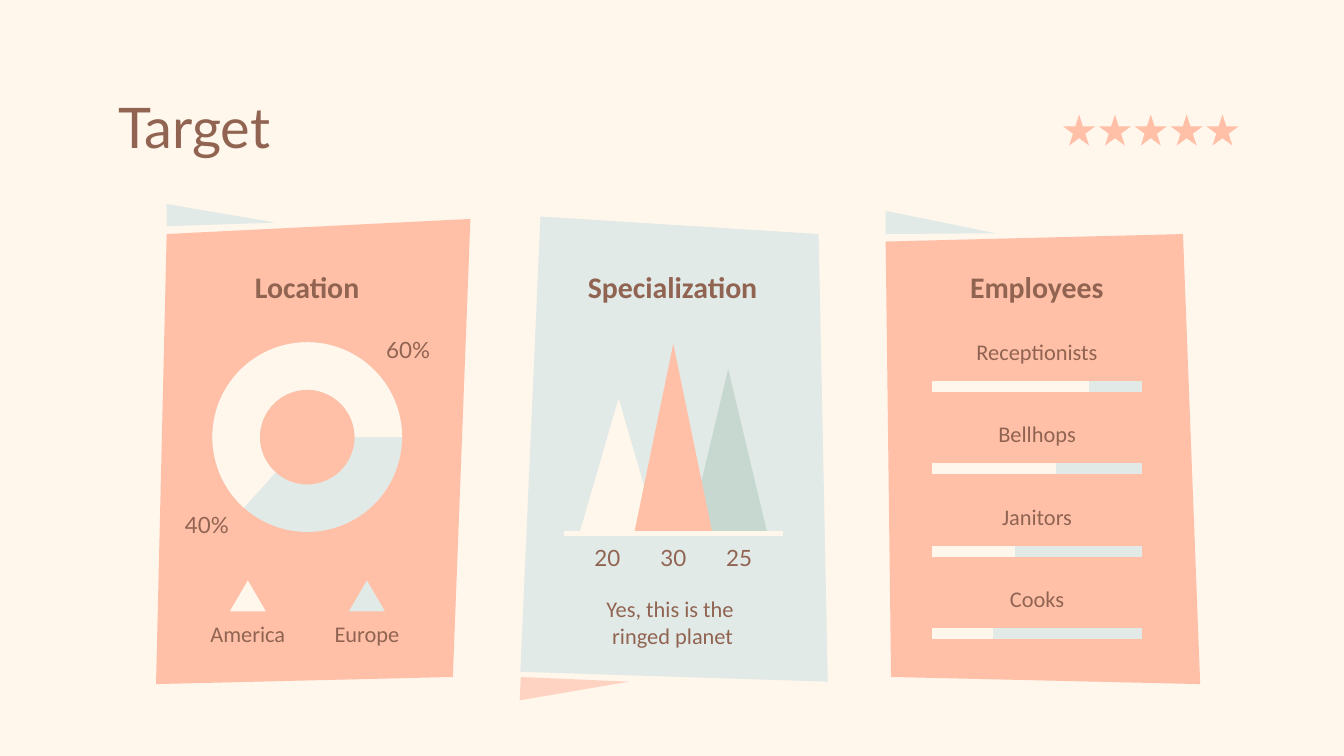
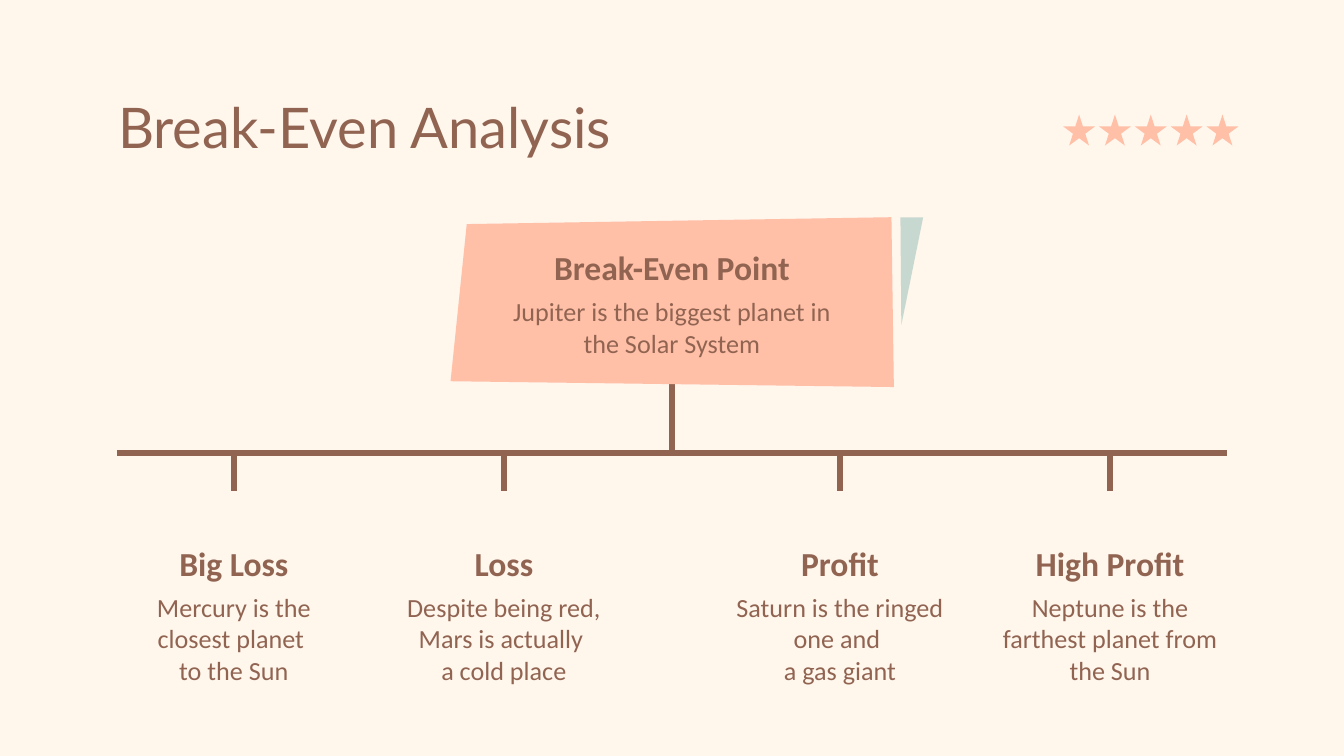
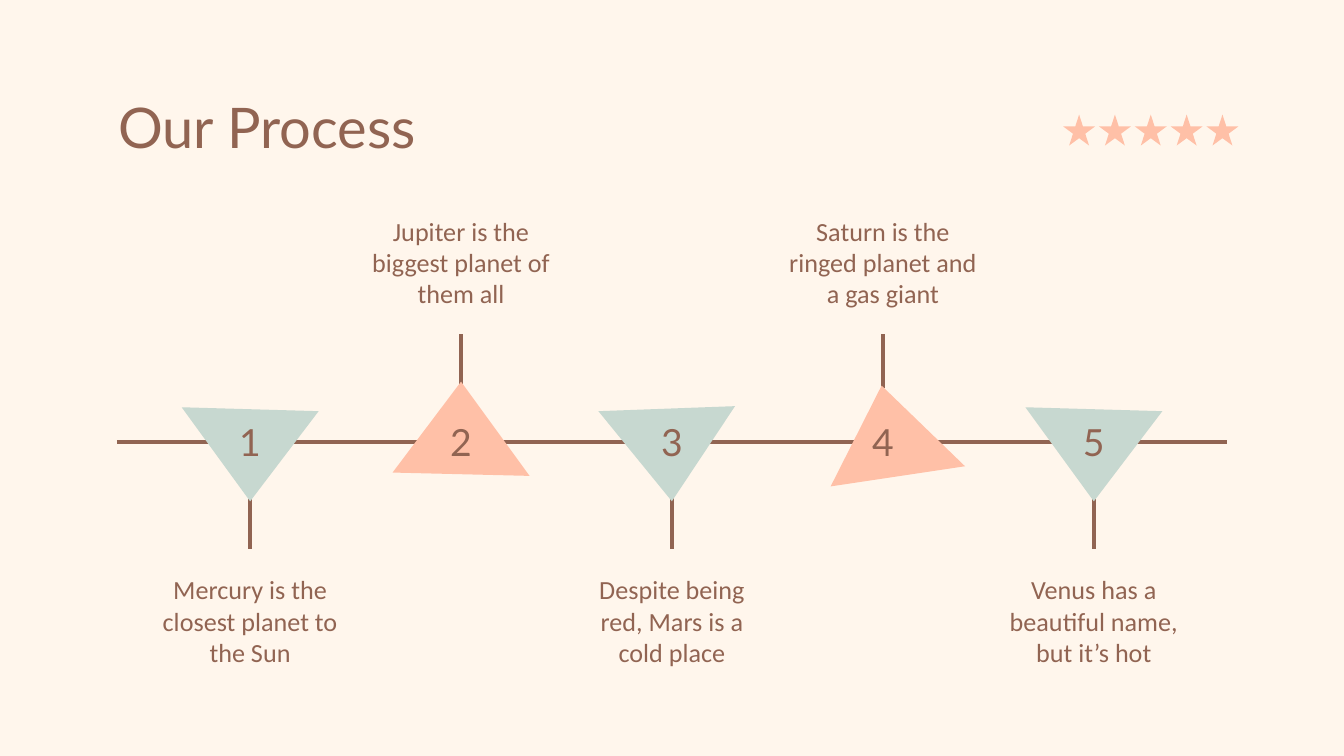
"""Build three hotel slides: target, break-even analysis and process."""
from typing import NamedTuple

import lxml.etree
import pptx
import pptx.dml.color
import pptx.enum.shapes
import pptx.enum.text
import pptx.oxml.ns
import pptx.presentation
import pptx.shapes.autoshape
import pptx.slide
import pptx.util

Pt = pptx.util.Pt
Kind = pptx.enum.shapes.MSO_SHAPE
Align = pptx.enum.text.PP_ALIGN
Anchor = pptx.enum.text.MSO_ANCHOR
Slide = pptx.slide.Slide
Shape = pptx.shapes.autoshape.Shape
Point = tuple[float, float]

HUES = {
    "cream": "FFF6EC",
    "peach": "FFC0A7",
    "blush": "FED3C2",
    "mist": "E1EAE7",
    "sage": "C7D8D0",
    "brown": "916452",
}


class Box(NamedTuple):
    x: float
    y: float
    w: float
    h: float


class Card(NamedTuple):
    head: str
    left: float
    hue: str
    panel: list[Point]
    flag_hue: str
    flag: list[Point]


class Staff(NamedTuple):
    name: str
    share: float


class Key(NamedTuple):
    name: str
    mid: float
    hue: str


class Peak(NamedTuple):
    left: float
    high: float
    hue: str


class Case(NamedTuple):
    mid: float
    head: str
    body: str


class Step(NamedTuple):
    body: str
    up: bool
    hue: str
    points: list[Point]


CARDS = [
    Card("Employees", 476.6, "peach",
         [(474.5, 129.4), (633.8, 125.4), (643, 366.5), (477.4, 362.7)],
         "mist", [(474.5, 125.4), (474.5, 113), (533.4, 125)]),
    Card("Specialization", 281.5, "mist",
         [(289.6, 116), (438.6, 125.4), (443.5, 365.2), (278.8, 359.9)],
         "blush", [(278.4, 375.2), (279, 362.7), (337, 365.2)]),
    Card("Location", 85.7, "peach",
         [(89.3, 125.4), (252, 117.3), (242.6, 362.7), (83.6, 366.5)],
         "mist", [(89.3, 121.2), (89.3, 109.3), (147.4, 119.3)]),
]
STAFF = [Staff("Receptionists", 0.75), Staff("Bellhops", 0.59),
         Staff("Janitors", 0.395), Staff("Cooks", 0.29)]
KEYS = [Key("America", 132.8, "cream"), Key("Europe", 196.6, "mist")]
PEAKS = [Peak(369.2, 87.8, "sage"), Peak(310.5, 72, "cream"),
         Peak(339.8, 101.3, "peach")]
CASES = [
    Case(125.3, "Big Loss", "Mercury is the closest planet \vto the Sun"),
    Case(270, "Loss", "Despite being red, Mars is actually \va cold place"),
    Case(450, "Profit", "Saturn is the ringed one and \va gas giant"),
    Case(594.7, "High Profit", "Neptune is the farthest planet from the Sun"),
]
EDGE = [(36.7, 220.3), (0, 268.6), (-36.7, 218.2)]
STEPS = [
    Step("Mercury is the closest planet to the Sun", False, "sage", EDGE),
    Step("Jupiter is the biggest planet of them all", True, "peach",
         [(-36.7, 253.2), (0, 204.5), (36.7, 255)]),
    Step("Despite being red, Mars is a cold place", False, "sage",
         [(33.8, 217.6), (0, 268.6), (-39.4, 220.3)]),
    Step("Saturn is the ringed planet and a gas giant", True, "peach",
         [(-28, 260.6), (-0.7, 206.6), (44, 249.8)]),
    Step("Venus has a beautiful name, but it’s hot", False, "sage", EDGE),
]


def tint(hue: str) -> pptx.dml.color.RGBColor:
    return pptx.dml.color.RGBColor.from_string(HUES[hue])


def paint(shape: Shape, hue: str) -> Shape:
    shape.shadow.inherit = False
    shape.fill.solid()
    shape.fill.fore_color.rgb = tint(hue)
    shape.line.fill.background()
    return shape


def form(slide: Slide, kind: Kind, box: Box, hue: str) -> Shape:
    return paint(slide.shapes.add_shape(kind, *map(Pt, box)), hue)


def poly(slide: Slide, points: list[Point], hue: str) -> Shape:
    spots = [(Pt(x), Pt(y)) for x, y in points]
    path = slide.shapes.build_freeform(*spots[0])
    path.add_line_segments(spots[1:], close=True)
    return paint(path.convert_to_shape(), hue)


def rule(slide: Slide, start: Point, end: Point, hue: str, width: float) -> None:
    line = slide.shapes.add_connector(
        pptx.enum.shapes.MSO_CONNECTOR.STRAIGHT, *map(Pt, start + end))
    line.line.color.rgb = tint(hue)
    line.line.width = Pt(width)
    lxml.etree.SubElement(line._element.spPr, pptx.oxml.ns.qn("a:effectLst"))


def text(slide: Slide, box: Box, words: str, *, size: float = 12,
         font: str = "Calibri", bold: bool = False,
         align: Align = Align.CENTER, anchor: Anchor = Anchor.MIDDLE) -> None:
    frame = slide.shapes.add_textbox(*map(Pt, box)).text_frame
    frame.word_wrap = True
    frame.vertical_anchor = anchor
    frame.margin_left = frame.margin_right = Pt(7.2)
    frame.margin_top = frame.margin_bottom = Pt(7.2)
    frame.text = words
    para = frame.paragraphs[0]
    para.alignment = align
    for run in para.runs:
        run.font.name = font
        run.font.size = Pt(size)
        run.font.bold = bold
        run.font.color.rgb = tint("brown")


def pair(slide: Slide, box: Box, head: str, body: str) -> None:
    text(slide, box._replace(h=28.1), head, size=18, bold=True,
         anchor=Anchor.BOTTOM)
    text(slide, box._replace(y=box.y + 18), body, size=14, anchor=Anchor.TOP)


def start(deck: pptx.presentation.Presentation, title: str) -> Slide:
    slide = deck.slides.add_slide(deck.slide_layouts[6])
    slide.background.fill.solid()
    slide.background.fill.fore_color.rgb = tint("cream")
    for i in range(5):
        form(slide, Kind.STAR_5_POINT, Box(569.5 + 19.2 * i, 61.4, 17.2, 16.6),
             "peach")
    text(slide, Box(56.2, 42.5, 607.6, 45.4), title, size=30, font="Lato",
         align=Align.LEFT, anchor=Anchor.TOP)
    return slide


def target(slide: Slide) -> None:
    for card in CARDS:
        poly(slide, card.panel, card.hue)
        poly(slide, card.flag, card.flag_hue)
        text(slide, Box(card.left, 142.6, 157.7, 21.6), card.head, size=16,
             bold=True)

    left, wide = 499.2, 112.6
    for i, staff in enumerate(STAFF):
        y = 207.1 + 44.1 * i
        for share, hue in ((1, "mist"), (staff.share, "cream")):
            rule(slide, (left, y), (left + wide * share, y), hue, 6)
        text(slide, Box(512.4, y - 27, 86.4, 16.6), staff.name)

    ring = Box(113.8, 183.4, 101.6, 101.6)
    form(slide, Kind.DONUT, ring, "mist").adjustments[0] = 0.25
    arc = form(slide, Kind.BLOCK_ARC, ring, "cream")
    for i, value in enumerate((79.14, 0, 0.25)):
        arc.adjustments[i] = value
    for x, y, share in ((191.3, 176.4, "60%"), (83.5, 270, "40%")):
        text(slide, Box(x, y, 54.7, 21.6), share, font="Lato")
    for key in KEYS:
        form(slide, Kind.ISOSCELES_TRIANGLE,
             Box(key.mid - 9.7, 311, 19.4, 16.6), key.hue)
        text(slide, Box(key.mid - 32, 331.4, 64, 16.6), key.name)

    for peak in PEAKS:
        form(slide, Kind.ISOSCELES_TRIANGLE,
             Box(peak.left, 285.5 - peak.high, 41.8, peak.high), peak.hue)
    rule(slide, (302.4, 285.8), (419.6, 285.8), "cream", 2.25)
    for i, count in enumerate(("20", "30", "25")):
        text(slide, Box(306.7 + 35.3 * i, 288, 37.4, 21.6), count, font="Lato")
    text(slide, Box(298.1, 311.8, 124.6, 35.3),
         "Yes, this is the \vringed planet", anchor=Anchor.TOP)


def balance(slide: Slide) -> None:
    y = 242.6
    rule(slide, (62.6, y), (657.4, y), "brown", 3)
    rule(slide, (360, 190.8), (360, y), "brown", 3)
    for case in CASES:
        rule(slide, (case.mid, y), (case.mid, 262.8), "brown", 3)
        pair(slide, Box(case.mid - 65.5, 291.6, 131, 57.6), case.head, case.body)
    poly(slide, [(482.4, 116.4), (494.6, 116.4), (482.9, 174.2)], "sage")
    poly(slide, [(477.6, 116.4), (478.9, 207.4), (241.4, 204.3), (250.1, 120.1)],
         "peach")
    pair(slide, Box(263, 133.2, 194, 38.9), "Break-Even Point",
         "Jupiter is the biggest planet in the Solar System")


def process(slide: Slide) -> None:
    rule(slide, (62.6, 236.8), (657.4, 236.8), "brown", 2.25)
    for i, step in enumerate(STEPS):
        mid = 134 + 113 * i
        stem, y, anchor = ((179.2, 115.9, Anchor.BOTTOM) if step.up
                           else (265, 300.2, Anchor.TOP))
        rule(slide, (mid, stem), (mid, stem + 28.9), "brown", 2.25)
        text(slide, Box(mid - 58.3, y, 116.6, 56.9), step.body, size=14,
             anchor=anchor)
        poly(slide, [(mid + x, y) for x, y in step.points], step.hue)
        text(slide, Box(mid - 31.3, 225.4, 62.6, 22.3), str(i + 1), size=20,
             font="Lato")


def main() -> None:
    deck = pptx.Presentation()
    deck.slide_width, deck.slide_height = Pt(720), Pt(405)
    target(start(deck, "Target"))
    balance(start(deck, "Break-Even Analysis"))
    process(start(deck, "Our Process"))
    deck.save("out.pptx")


if __name__ == "__main__":
    main()
